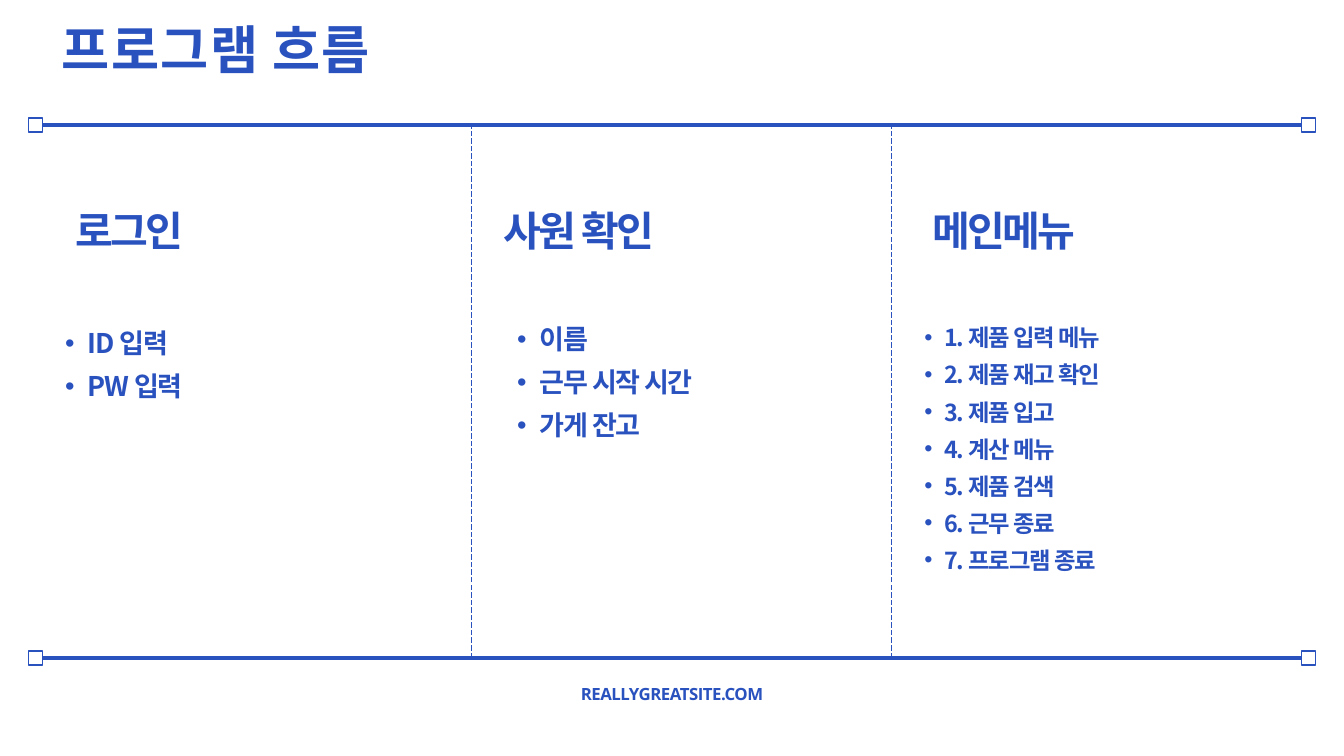
from dataclasses import dataclass

from lxml import etree
from pptx import Presentation
from pptx.dml.color import RGBColor
from pptx.enum import dml, shapes, text
from pptx.oxml import ns
from pptx.util import Cm, Pt

BLUE = RGBColor(0x2A, 0x52, 0xBF)
WHITE = RGBColor(0xFF, 0xFF, 0xFF)
KOREAN = "Noto Sans CJK KR"
LATIN = "Open Sans"

RULE_LEFT, RULE_RIGHT = 1.07, 49.73
RULE_TOP, RULE_BOTTOM = 4.73, 24.88
HANDLE = 0.53
DIVIDERS = (17.83, 33.68)
HEADING_LEFT, HEADING_STEP = 2.84, 16.2


@dataclass
class Style:
    size: float
    font: str
    leading: float
    tracking: float  # hundredths of a point
    align: text.PP_ALIGN = text.PP_ALIGN.LEFT
    indent: float = 0  # cm; bulleted when above zero


@dataclass
class Column:
    heading: str
    items: list[str]
    box: tuple[float, float, float, float]
    style: Style


TITLE = Style(56, KOREAN, 43.1, 140)
HEADING = Style(44, LATIN, 33.9, -310)
STEPS = Style(29, KOREAN, 46.1, -140, indent=0.86)
MENU = Style(25, KOREAN, 39.7, -120, indent=0.75)
FOOTER = Style(18, LATIN, 19.6, -50, text.PP_ALIGN.CENTER)

COLUMNS = [
    Column("로그인", ["ID 입력", "PW 입력"], (1.6, 11.96, 14.5, 3.2), STEPS),
    Column("사원 확인", ["이름", "근무 시작 시간", "가게 잔고"],
           (18.69, 11.81, 13.74, 4.83), STEPS),
    Column("메인메뉴",
           ["1. 제품 입력 메뉴", "2. 제품 재고 확인", "3. 제품 입고", "4. 계산 메뉴",
            "5. 제품 검색", "6. 근무 종료", "7. 프로그램 종료"],
           (34.19, 11.89, 15.27, 9.58), MENU),
]


def style_paragraph(paragraph, style: Style) -> None:
    paragraph.alignment = style.align
    paragraph.line_spacing = Pt(style.leading)
    font = paragraph.font
    font.size, font.bold, font.name = Pt(style.size), True, style.font
    font.color.rgb = BLUE
    properties = paragraph._p.get_or_add_pPr()
    defaults = properties.find(ns.qn("a:defRPr"))
    defaults.set("spc", str(style.tracking))
    east_asian = etree.Element(ns.qn("a:ea"), typeface=style.font)
    defaults.find(ns.qn("a:latin")).addnext(east_asian)
    if style.indent:
        paragraph.level = 1
        properties.set("marL", str(Cm(2 * style.indent)))
        properties.set("indent", str(-Cm(style.indent)))
        defaults.addprevious(etree.Element(ns.qn("a:buFont"), typeface="Arial"))
        defaults.addprevious(etree.Element(ns.qn("a:buChar"), char="•"))


def add_text(slide, lines: list[str], box: tuple[float, float, float, float],
             style: Style) -> None:
    frame = slide.shapes.add_textbox(*map(Cm, box)).text_frame
    frame.word_wrap = True
    frame.auto_size = text.MSO_AUTO_SIZE.SHAPE_TO_FIT_TEXT
    frame.margin_left = frame.margin_right = 0
    frame.margin_top = frame.margin_bottom = 0
    frame.text = "\n".join(lines)
    for paragraph in frame.paragraphs:
        style_paragraph(paragraph, style)


def add_line(slide, x1: float, y1: float, x2: float, y2: float, width: float):
    line = slide.shapes.add_connector(
        shapes.MSO_CONNECTOR.STRAIGHT, Cm(x1), Cm(y1), Cm(x2), Cm(y2))
    line.line.color.rgb = BLUE
    line.line.width = Pt(width)
    etree.SubElement(line._element.spPr, ns.qn("a:effectLst"))
    return line


def add_handle(slide, left: float, middle: float):
    handle = slide.shapes.add_shape(
        shapes.MSO_SHAPE.RECTANGLE, Cm(left), Cm(middle - HANDLE / 2),
        Cm(HANDLE), Cm(HANDLE))
    handle.shadow.inherit = False
    handle.fill.solid()
    handle.fill.fore_color.rgb = WHITE
    handle.line.color.rgb = BLUE
    handle.line.width = Pt(1.5)
    return handle


def add_rule(slide, y: float) -> None:
    """Draw a thick horizontal rule with a square handle at each end."""
    rule = add_line(slide, RULE_LEFT, y, RULE_RIGHT, y, 3.75)
    rule.begin_connect(add_handle(slide, RULE_LEFT, y), 1)
    rule.end_connect(add_handle(slide, RULE_RIGHT - HANDLE, y), 3)


def main() -> None:
    deck = Presentation()
    deck.slide_width, deck.slide_height = Cm(50.8), Cm(28.58)
    slide = deck.slides.add_slide(deck.slide_layouts[6])
    slide.background.fill.solid()
    slide.background.fill.fore_color.rgb = WHITE

    for y in (RULE_TOP, RULE_BOTTOM):
        add_rule(slide, y)
    add_text(slide, ["프로그램 흐름"], (2.34, 1.5, 13.44, 1.8), TITLE)
    for i, column in enumerate(COLUMNS):
        heading_box = (HEADING_LEFT + i * HEADING_STEP, 8.43, 10.31, 1.35)
        add_text(slide, [column.heading], heading_box, HEADING)
        add_text(slide, column.items, column.box, column.style)
    add_text(slide, ["REALLYGREATSITE.COM"], (18.21, 25.91, 14.38, 0.69), FOOTER)
    for x in DIVIDERS:
        divider = add_line(slide, x, RULE_BOTTOM, x, RULE_TOP, 0.75)
        divider.line.dash_style = dml.MSO_LINE.LONG_DASH

    deck.save("out.pptx")


if __name__ == "__main__":
    main()
